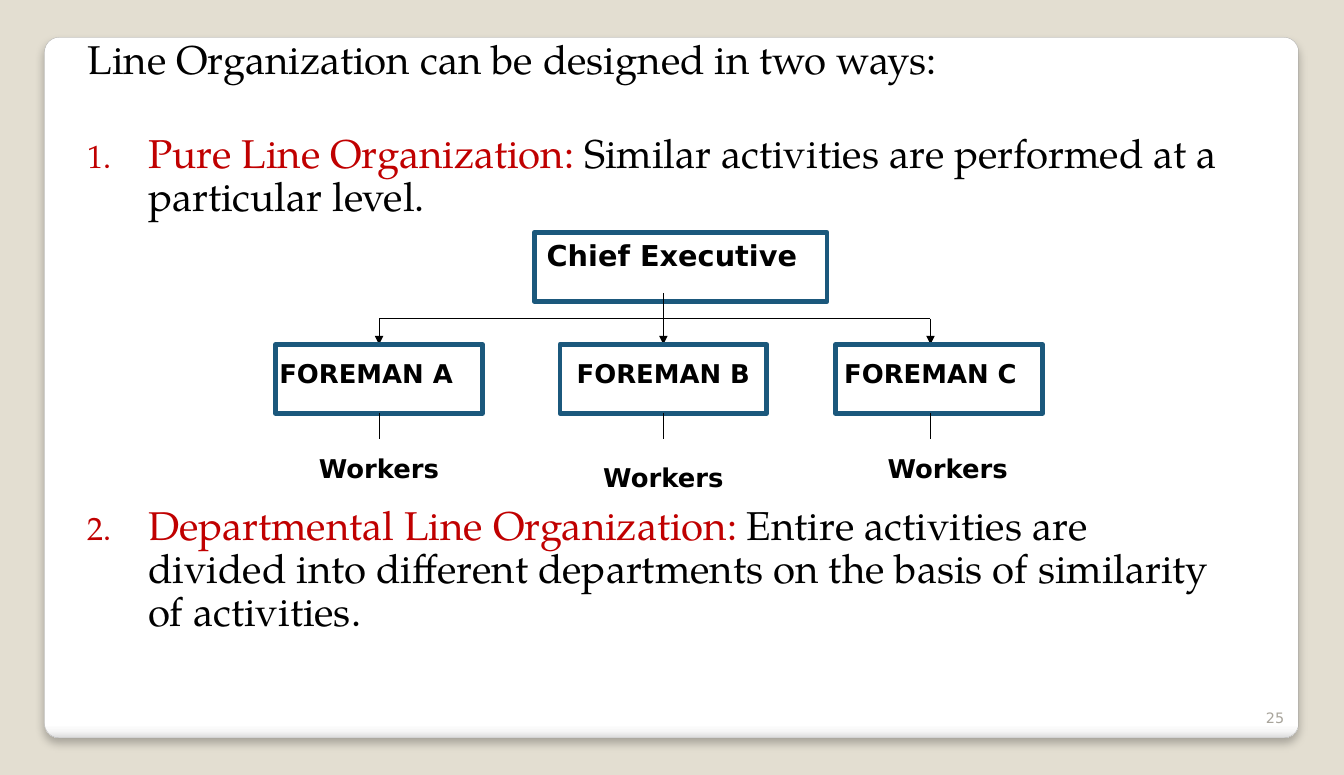
"""Build the slide on the two ways of designing a line organization."""
from dataclasses import dataclass

import pptx
import pptx.dml.color
import pptx.enum.shapes
import pptx.enum.text
import pptx.oxml.ns
import pptx.util
from lxml import etree

Pt = pptx.util.Pt
qn = pptx.oxml.ns.qn
PP_ALIGN = pptx.enum.text.PP_ALIGN
MSO_SHAPE = pptx.enum.shapes.MSO_SHAPE


@dataclass(frozen=True)
class Theme:
    background: str = "E3DED1"
    panel_edge: str = "A4A4A4"
    panel_stops: tuple = ((0, "FFFFFF"), (98, "FFFFFF"), (99, "F7F7F7"), (100, "DADADA"))
    white: str = "FFFFFF"
    ink: str = "000000"
    accent: str = "C00000"
    box_edge: str = "1B587C"
    muted: str = "A8A49B"
    body_font: str = "TeX Gyre Pagella"
    label_font: str = "DejaVu Sans"
    body_size: float = 28
    chief_size: float = 20
    label_size: float = 18
    number_size: float = 10
    box_line: float = 3.35
    thin_line: float = 0.75


@dataclass(frozen=True)
class Rect:
    left: float
    top: float
    width: float
    height: float

    def lengths(self) -> list:
        return [Pt(v) for v in (self.left, self.top, self.width, self.height)]


@dataclass(frozen=True)
class Foreman:
    name: str
    axis: float
    box_left: float
    label_left: float
    label_width: float
    workers_left: float
    workers_top: float


@dataclass(frozen=True)
class Item:
    number: int
    heading: str
    text: str
    space_before: float


THEME = Theme()
FOREMEN = (
    Foreman("FOREMAN A", 264, 192, 186, 138, 210, 312),
    Foreman("FOREMAN B", 462, 390, 390, 144, 408, 318),
    Foreman("FOREMAN C", 648, 582, 576, 144, 606, 312),
)
ITEMS = (
    Item(1, "Pure Line Organization: ",
         "Similar activities are performed at a particular level.", 35.2),
    Item(2, "Departmental Line Organization: ",
         "Entire activities are divided into different departments "
         "on the basis of similarity of activities.", 198.7),
)
BUS_Y, BOX_TOP, BOX_HEIGHT, STEM = 222, 240, 48, 18


def rgb(value: str) -> pptx.dml.color.RGBColor:
    return pptx.dml.color.RGBColor.from_string(value)


def style(font, name: str, size: float, color: str, bold: bool = False) -> None:
    font.name, font.size, font.bold = name, Pt(size), bold
    font.color.rgb = rgb(color)


def add_panel(slide) -> None:
    s = slide.shapes.add_shape(MSO_SHAPE.ROUNDED_RECTANGLE, *Rect(31, 26, 873.4, 488.2).lengths())
    s.adjustments[0] = 0.021
    s.fill.gradient()
    s.fill.gradient_angle = 270
    stops = s._element.spPr.find(".//" + qn("a:gsLst"))
    stops.clear()
    for position, color in THEME.panel_stops:
        stop = etree.SubElement(stops, qn("a:gs"), pos=str(position * 1000))
        etree.SubElement(stop, qn("a:srgbClr"), val=color)
    s.line.color.rgb = rgb(THEME.panel_edge)
    s.line.width = Pt(0.16)
    s.shadow.inherit = False
    effects = s._element.spPr.find(qn("a:effectLst"))
    shadow = etree.SubElement(effects, qn("a:outerShdw"), blurRad=str(Pt(6)), dist=str(Pt(4)),
                              dir="5400000", algn="t", rotWithShape="0")
    color = etree.SubElement(shadow, qn("a:srgbClr"), val=THEME.ink)
    etree.SubElement(color, qn("a:alpha"), val="25000")


def add_box(slide, rect: Rect) -> None:
    s = slide.shapes.add_shape(MSO_SHAPE.RECTANGLE, *rect.lengths())
    s.shadow.inherit = False
    s.fill.solid()
    s.fill.fore_color.rgb = rgb(THEME.white)
    s.line.color.rgb = rgb(THEME.box_edge)
    s.line.width = Pt(THEME.box_line)


def add_label(slide, text: str, rect: Rect, size: float, color: str = THEME.ink,
              bold: bool = True, align=PP_ALIGN.CENTER):
    tf = slide.shapes.add_textbox(*rect.lengths()).text_frame
    tf.word_wrap = True
    p = tf.paragraphs[0]
    p.text = text
    p.alignment = align
    style(p.runs[0].font, THEME.label_font, size, color, bold)
    return tf


def add_line(slide, x1: float, y1: float, x2: float, y2: float, arrow: bool = False) -> None:
    c = slide.shapes.add_connector(pptx.enum.shapes.MSO_CONNECTOR.STRAIGHT,
                                   Pt(x1), Pt(y1), Pt(x2), Pt(y2))
    c.line.color.rgb = rgb(THEME.ink)
    c.line.width = Pt(THEME.thin_line)
    if arrow:
        etree.SubElement(c.line._get_or_add_ln(), qn("a:tailEnd"), type="triangle")
    etree.SubElement(c._element.spPr, qn("a:effectLst"))


def add_item(tf, item: Item) -> None:
    p = tf.add_paragraph()
    p.line_spacing = 0.9
    p.space_before = Pt(item.space_before)
    pPr = p._p.get_or_add_pPr()
    pPr.set("marL", str(Pt(42)))
    pPr.set("indent", str(-Pt(42)))
    color = etree.SubElement(pPr, qn("a:buClr"))
    etree.SubElement(color, qn("a:srgbClr"), val=THEME.accent)
    etree.SubElement(pPr, qn("a:buSzPct"), val="80000")
    etree.SubElement(pPr, qn("a:buAutoNum"), type="arabicPeriod", startAt=str(item.number))
    for text, ink in ((item.heading, THEME.accent), (item.text, THEME.ink)):
        r = p.add_run()
        r.text = text
        style(r.font, THEME.body_font, THEME.body_size, ink)


def add_body(slide) -> None:
    tf = slide.shapes.add_textbox(*Rect(54, 24, 810, 446.4).lengths()).text_frame
    tf.word_wrap = True
    p = tf.paragraphs[0]
    p.text = "Line Organization can be designed in two ways:"
    p.line_spacing = 0.9
    style(p.runs[0].font, THEME.body_font, THEME.body_size, THEME.ink)
    for item in ITEMS:
        add_item(tf, item)


def add_org_chart(slide) -> None:
    add_box(slide, Rect(372, 162, 204, BOX_HEIGHT))
    add_label(slide, "Chief Executive", Rect(372, 162, 192, 31), THEME.chief_size)
    add_line(slide, FOREMEN[0].axis, BUS_Y, FOREMEN[-1].axis, BUS_Y)
    add_line(slide, FOREMEN[1].axis, BUS_Y - STEM, FOREMEN[1].axis, BUS_Y)
    box_bottom = BOX_TOP + BOX_HEIGHT
    for f in FOREMEN:
        add_line(slide, f.axis, BUS_Y, f.axis, BOX_TOP, arrow=True)
        add_box(slide, Rect(f.box_left, BOX_TOP, 144, BOX_HEIGHT))
        add_label(slide, f.name, Rect(f.label_left, 246, f.label_width, 29), THEME.label_size)
        add_line(slide, f.axis, box_bottom, f.axis, box_bottom + STEM)
        add_label(slide, "Workers", Rect(f.workers_left, f.workers_top, 108, 29), THEME.label_size)


def main() -> None:
    prs = pptx.Presentation()
    prs.slide_width, prs.slide_height = Pt(936), Pt(540)
    slide = prs.slides.add_slide(prs.slide_layouts[6])
    slide.background.fill.solid()
    slide.background.fill.fore_color.rgb = rgb(THEME.background)
    add_panel(slide)
    tf = add_label(slide, "25", Rect(854.6, 481, 46.8, 28.8), THEME.number_size,
                   THEME.muted, bold=False, align=PP_ALIGN.RIGHT)
    tf.vertical_anchor = pptx.enum.text.MSO_ANCHOR.BOTTOM
    add_body(slide)
    add_org_chart(slide)
    prs.save("out.pptx")


if __name__ == "__main__":
    main()
